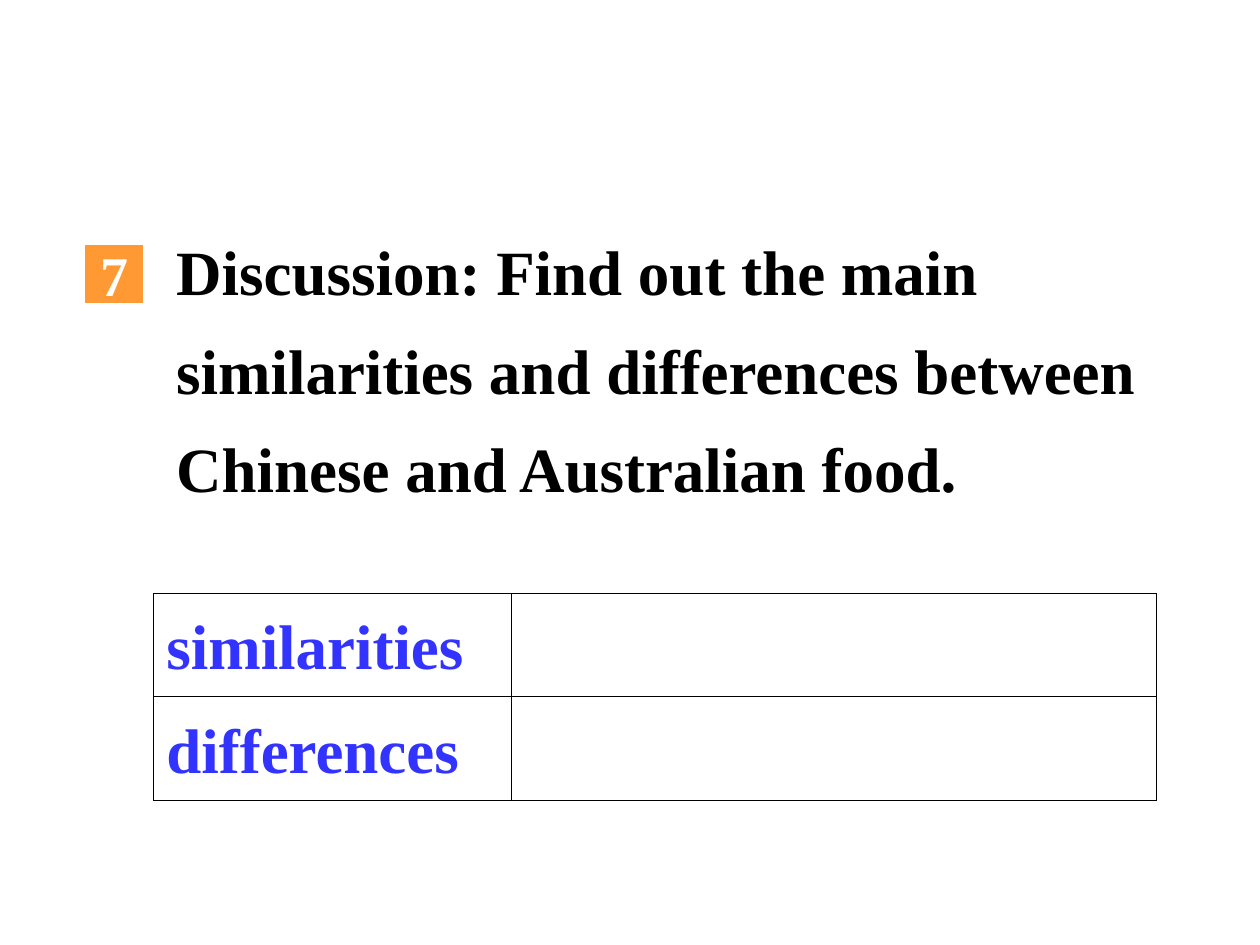
from lxml.etree import SubElement
from pptx import Presentation
from pptx.dml.color import RGBColor
from pptx.enum.shapes import MSO_SHAPE
from pptx.enum.text import MSO_ANCHOR, PP_ALIGN
from pptx.oxml.ns import qn
from pptx.util import Inches, Pt

COLORS = {"ink": "000000", "label": "3333FF", "badge": "FF9933", "white": "FFFFFF"}
FONT = "Times New Roman"


def color(name):
    return RGBColor.from_string(COLORS[name])


def write(frame, text, size, name, spacing=1.0):
    frame.text = text
    para = frame.paragraphs[0]
    para.line_spacing = spacing
    for run in para.runs:
        font = run.font
        font.name, font.size, font.bold = FONT, Pt(size), True
        font.color.rgb = color(name)
    return para


def border(cell):
    props = cell._tc.get_or_add_tcPr()
    for index, side in enumerate(("lnL", "lnR", "lnT", "lnB")):
        line = props.makeelement(qn(f"a:{side}"), {"w": str(Pt(0.45))})
        fill = SubElement(line, qn("a:solidFill"))
        SubElement(fill, qn("a:srgbClr"), val=COLORS["ink"])
        props.insert(index, line)


def add_grid(slide, left, top, width, height):
    labels = ["similarities", "differences"]
    frame = slide.shapes.add_table(
        len(labels), 2, Inches(left), Inches(top), Inches(width), Inches(height)
    )
    table = frame.table
    table.first_row = table.horz_banding = False
    first = 2.84
    table.columns[0].width = Inches(first)
    table.columns[1].width = Inches(width - first)
    for row, label in enumerate(labels):
        write(table.cell(row, 0).text_frame, label, 36, "label", 1.2)
    for cell in table.iter_cells():
        cell.fill.background()
        border(cell)


def add_badge(slide, left, top, size):
    badge = slide.shapes.add_shape(
        MSO_SHAPE.RECTANGLE, Inches(left), Inches(top), Inches(size), Inches(size)
    )
    badge.shadow.inherit = False
    badge.fill.solid()
    badge.fill.fore_color.rgb = color("badge")
    badge.line.color.rgb = color("white")
    badge.line.width = Pt(0.75)
    frame = badge.text_frame
    frame.word_wrap = False
    frame.vertical_anchor = MSO_ANCHOR.MIDDLE
    write(frame, "7", 32, "white").alignment = PP_ALIGN.CENTER


def add_task(slide, left, top, width, height):
    box = slide.shapes.add_textbox(
        Inches(left), Inches(top), Inches(width), Inches(height)
    )
    frame = box.text_frame
    frame.word_wrap = True
    text = (
        "Discussion: Find out the main similarities and differences "
        "between Chinese and Australian food."
    )
    write(frame, text, 36, "ink", 1.3)


def main():
    deck = Presentation()
    deck.slide_width, deck.slide_height = Inches(10), Inches(7.5)
    slide = deck.slides.add_slide(deck.slide_layouts[6])
    add_grid(slide, 1.22, 4.71, 7.96, 1.64)
    add_badge(slide, 0.67, 1.94, 0.47)
    add_task(slide, 1.3, 1.62, 7.88, 2.44)
    deck.save("out.pptx")


if __name__ == "__main__":
    main()
